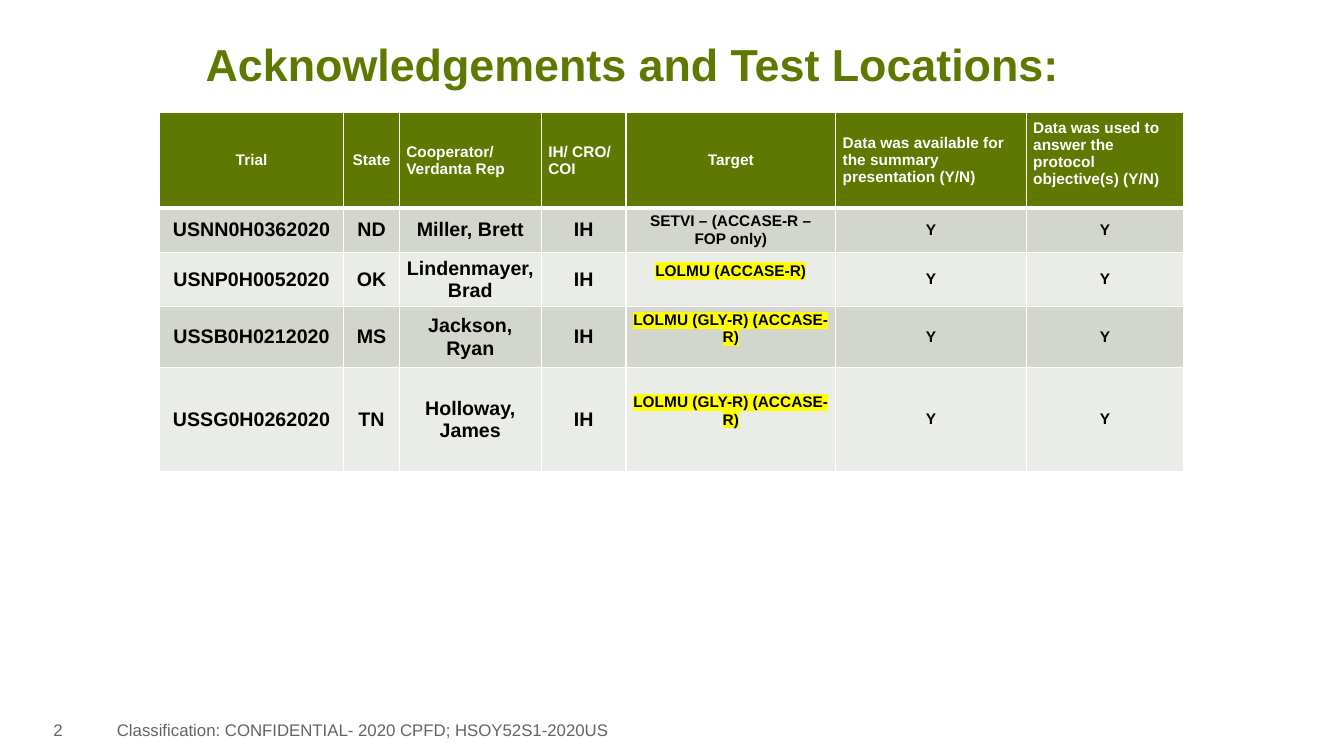
from lxml.etree import SubElement
from pptx import Presentation
from pptx.dml.color import RGBColor
from pptx.enum.text import MSO_ANCHOR as Anchor, PP_ALIGN as Align
from pptx.oxml import parse_xml
from pptx.oxml.ns import nsdecls, qn
from pptx.util import Pt

GREEN = RGBColor(0x5F, 0x78, 0x00)
GREY = RGBColor(0x62, 0x64, 0x69)
BLACK = RGBColor(0, 0, 0)
WHITE = RGBColor(255, 255, 255)
YELLOW = RGBColor(255, 255, 0)
BANDS = [RGBColor(0xD2, 0xD6, 0xCC), RGBColor(0xEA, 0xEC, 0xE7)]

TITLE = "Acknowledgements and Test Locations:"
PAGE_NUMBER = "2"
CLASSIFICATION = "Classification: CONFIDENTIAL- 2020 CPFD; HSOY52S1-2020US"
# heading, alignment, column width, size of the entries
COLUMNS = [
    ("Trial", Align.CENTER, 131.8, 14),
    ("State", Align.CENTER, 39.6, 14),
    ("Cooperator/\nVerdanta Rep", Align.LEFT, 101.5, 14),
    ("IH/ CRO/ COI", Align.LEFT, 60.5, 14),
    ("Target", Align.CENTER, 149.8, 11),
    ("Data was available for the summary presentation (Y/N)", Align.LEFT, 136.1, 11),
    ("Data was used to answer the protocol objective(s) (Y/N)", Align.LEFT, 112.7, 11),
]
TRIALS = [
    ("USNN0H0362020", "ND", "Miller, Brett", "IH", "SETVI – (ACCASE-R – FOP only)", "Y", "Y"),
    ("USNP0H0052020", "OK", "Lindenmayer, Brad", "IH", "LOLMU (ACCASE-R)", "Y", "Y"),
    ("USSB0H0212020", "MS", "Jackson, Ryan", "IH", "LOLMU (GLY-R) (ACCASE-R)", "Y", "Y"),
    ("USSG0H0262020", "TN", "Holloway, James", "IH", "LOLMU (GLY-R) (ACCASE-R)", "Y", "Y"),
]
ROW_HEIGHTS = [67, 29.6, 37.2, 42.1, 74]
TABLE_LEFT, TABLE_TOP = 113.8, 80.6
HEADING_SIZE = 11
RAISE = 12  # extra bottom margin that lifts the text of a cell


def set_all(target, **values):
    for name, value in values.items():
        setattr(target, name, value)


def style_text(frame, size, color, bold=False, **paragraph_format):
    for para in frame.paragraphs:
        set_all(para, **paragraph_format)
        for span in para.runs:
            set_all(span.font, name="Arial", size=Pt(size), bold=bold)
            span.font.color.rgb = color


def add_text(page, text, bounds, margins, anchor, **text_format):
    box = page.shapes.add_textbox(*map(Pt, bounds))
    left, top, right, bottom = map(Pt, margins)
    set_all(box.text_frame, text=text, word_wrap=True, vertical_anchor=anchor,
            margin_left=left, margin_top=top, margin_right=right, margin_bottom=bottom)
    style_text(box.text_frame, **text_format)


def set_borders(cell, widths):
    """Draw white borders with widths given as left, right, top, bottom."""
    properties = cell._tc.get_or_add_tcPr()
    for index, (side, width) in enumerate(zip("LRTB", widths)):
        properties.insert(index, parse_xml(
            f'<a:ln{side} {nsdecls("a")} w="{Pt(width)}"><a:solidFill>'
            f'<a:srgbClr val="{WHITE}"/></a:solidFill></a:ln{side}>'))


def highlight(frame):
    for para in frame.paragraphs:
        for span in para.runs:
            properties = span.font._element
            mark = SubElement(properties, qn("a:highlight"))
            SubElement(mark, qn("a:srgbClr"), val=str(YELLOW))
            properties.find(qn("a:solidFill")).addnext(mark)


def fill_cell(cell, text, fill, size, color, align, raised, borders):
    set_all(cell, text=text, vertical_anchor=Anchor.MIDDLE,
            margin_left=Pt(5), margin_right=Pt(5),
            margin_top=Pt(2.6), margin_bottom=Pt(2.6 + raised))
    cell.fill.solid()
    cell.fill.fore_color.rgb = fill
    style_text(cell.text_frame, size, color, bold=True, alignment=align)
    set_borders(cell, borders)


def add_trial_table(page):
    widths = [column[2] for column in COLUMNS]
    table = page.shapes.add_table(
        len(ROW_HEIGHTS), len(COLUMNS), Pt(TABLE_LEFT), Pt(TABLE_TOP),
        Pt(sum(widths)), Pt(sum(ROW_HEIGHTS))).table
    for row, height in zip(table.rows, ROW_HEIGHTS):
        row.height = Pt(height)
    for col, (heading, align, width, size) in enumerate(COLUMNS):
        table.columns[col].width = Pt(width)
        raised = 10 if col == len(COLUMNS) - 1 else 0
        fill_cell(table.cell(0, col), heading, GREEN, HEADING_SIZE, WHITE,
                  align, raised, (1, 1, 1, 3))
        for row, trial in enumerate(TRIALS, 1):
            cell = table.cell(row, col)
            marked = trial[col].startswith("LOLMU")
            fill_cell(cell, trial[col], BANDS[(row - 1) % 2], size, BLACK, Align.CENTER,
                      RAISE if marked else 0, (1, 1, 3 if row == 1 else 1, 1))
            if marked:
                highlight(cell.text_frame)


def main():
    deck = Presentation()
    set_all(deck, slide_width=Pt(960), slide_height=Pt(540))
    page = deck.slides.add_slide(deck.slide_layouts[6])
    add_text(page, TITLE, (146.9, 30.2, 666, 35.3), (0, 0, 0, 0), Anchor.MIDDLE,
             size=32, color=GREEN, bold=True, line_spacing=0.9)
    add_trial_table(page)
    footers = [(PAGE_NUMBER, 31, 58.3, 7.2), (CLASSIFICATION, 83.5, 604, 0)]
    for text, left, width, inset in footers:
        add_text(page, text, (left, 510.5, width, 29.5), (inset, 3.6, 7.2, 3.6),
                 Anchor.TOP, size=12, color=GREY, space_after=Pt(6))
    deck.save("out.pptx")


if __name__ == "__main__":
    main()
